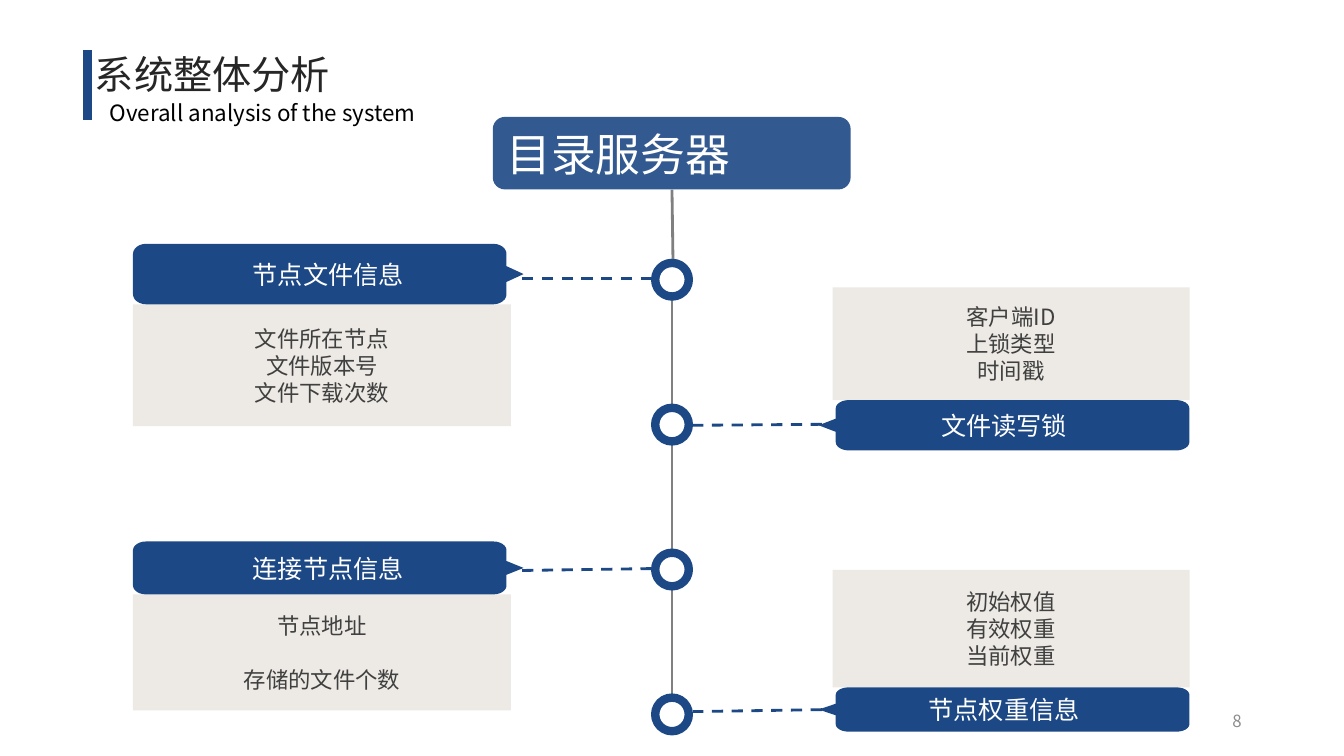
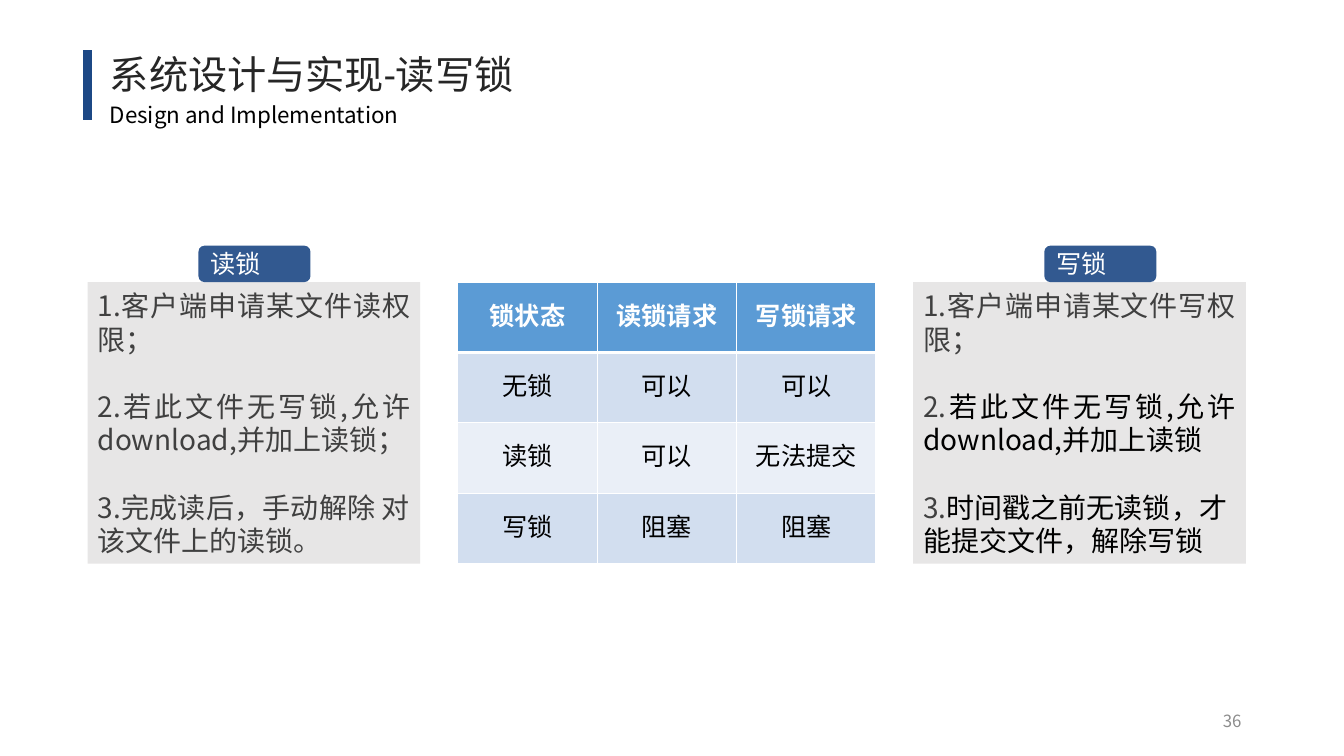
from math import cos, radians, sin

from lxml.etree import SubElement
from pptx import Presentation
from pptx.dml.color import RGBColor
from pptx.enum.dml import MSO_LINE
from pptx.enum.shapes import MSO_CONNECTOR, MSO_SHAPE
from pptx.enum.text import MSO_ANCHOR, MSO_AUTO_SIZE, PP_ALIGN
from pptx.oxml.ns import qn
from pptx.util import Pt

BLUE = RGBColor(0x1C, 0x48, 0x85)
GRAY = RGBColor(0x80, 0x80, 0x80)
PAGE_GRAY = RGBColor(0x8C, 0x8C, 0x8C)
TITLE_INK = RGBColor(0x26, 0x26, 0x26)
TEXT_INK = RGBColor(0x40, 0x40, 0x40)
BLACK = RGBColor(0, 0, 0)
WHITE = RGBColor(0xFF, 0xFF, 0xFF)
SAND = RGBColor(0xED, 0xEA, 0xE5)
SILVER = RGBColor(0xE7, 0xE6, 0xE6)
HEADER_BLUE = RGBColor(0x5B, 0x9B, 0xD5)
ROW_BLUE = RGBColor(0xD2, 0xDE, 0xEF)
ROW_PALE = RGBColor(0xEA, 0xEF, 0xF7)

NOTO = "Noto Sans CJK SC"
LEFT, CENTER, RIGHT, JUSTIFY = (
    PP_ALIGN.LEFT, PP_ALIGN.CENTER, PP_ALIGN.RIGHT, PP_ALIGN.JUSTIFY)

# Each style: font name, size, colour, alignment, bold
TITLE = ("Calibri", 28, TITLE_INK, LEFT, False)
SUBTITLE = (NOTO, 16, BLACK, LEFT, False)
PAGE_NUMBER = (NOTO, 12, PAGE_GRAY, RIGHT, False)
ROOT = (NOTO, 32, WHITE, JUSTIFY, False)
HEADING = (NOTO, 18, WHITE, CENTER, False)
DETAIL = (NOTO, 16, TEXT_INK, CENTER, False)
TAG = (NOTO, 18, WHITE, JUSTIFY, False)
RULES = (NOTO, 20, TEXT_INK, JUSTIFY, False)
TABLE_HEAD = (NOTO, 18, WHITE, CENTER, True)
TABLE_BODY = (NOTO, 18, BLACK, CENTER, False)


def write(holder, lines, style, fill=None, alpha=None, gap=0):
    """Fill a shape or cell and set its paragraphs; later parts of a line are black."""
    name, size, color, alignment, bold = style
    if fill is not None:
        holder.fill.solid()
        holder.fill.fore_color.rgb = fill
    if alpha:
        fill_color = holder.element.spPr.find(qn("a:solidFill"))[0]
        SubElement(fill_color, qn("a:alpha"), val=str(alpha * 1000))
    frame = holder.text_frame
    frame_format = {"word_wrap": True, "auto_size": MSO_AUTO_SIZE.NONE,
                    "vertical_anchor": MSO_ANCHOR.MIDDLE}
    for key, value in frame_format.items():
        setattr(frame, key, value)
    for index, line in enumerate(lines):
        paragraph = frame.add_paragraph() if index else frame.paragraphs[0]
        paragraph_format = {"alignment": alignment, "line_spacing": Pt(size * 1.2),
                            "space_before": Pt(gap if index else 0),
                            "space_after": Pt(0)}
        for key, value in paragraph_format.items():
            setattr(paragraph, key, value)
        properties = paragraph._p.get_or_add_pPr()
        properties.set("marL", "0")
        properties.set("indent", "0")
        SubElement(properties, qn("a:buNone"))
        parts = line if isinstance(line, tuple) else (line,)
        for part, part_color in zip(parts, (color, BLACK)):
            run = paragraph.add_run()
            run.text = part
            for key, value in {"name": name, "size": Pt(size), "bold": bold}.items():
                setattr(run.font, key, value)
            run.font.color.rgb = part_color
            run_properties = run._r.get_or_add_rPr()
            run_properties.set("lang", "zh-CN")
            SubElement(run_properties, qn("a:ea"), typeface=NOTO)


def add_line(slide, start, end, color, width, dash=None):
    """Draw a straight line between two points, without a shadow."""
    line = slide.shapes.add_connector(MSO_CONNECTOR.STRAIGHT, *map(Pt, start + end))
    line.line.color.rgb = color
    line.line.width = Pt(width)
    line.line.dash_style = dash
    SubElement(line.element.spPr, qn("a:effectLst"))


presentation = Presentation()
presentation.slide_width, presentation.slide_height = Pt(960), Pt(540)

# Shared frame: bar, title, subtitle, page number
# (layout index, title, title left, subtitle, subtitle top, page)
pages = [
    (5, "系统整体分析", 60.6, "Overall analysis of the system", 67, "8"),
    (3, "系统设计与实现-读写锁", 71.3, "Design and Implementation", 68.4, "36"),
]
slides = []
for layout, title, title_left, subtitle, subtitle_top, page in pages:
    slide = presentation.slides.add_slide(presentation.slide_layouts[layout])
    slides.append(slide)
    add_line(slide, (62.6, 36), (62.6, 85.7), BLUE, 6)
    title_shape = slide.shapes.title
    title_box = {"left": title_left, "top": 32.4, "width": 484, "height": 41}
    for key, value in title_box.items():
        setattr(title_shape, key, Pt(value))
    write(title_shape, [title], TITLE)
    subtitle_box = slide.shapes.add_textbox(
        Pt(71.3), Pt(subtitle_top), Pt(260), Pt(26.6))
    write(subtitle_box, [subtitle], SUBTITLE)
    page_box = slide.shapes.add_textbox(Pt(678), Pt(500.4), Pt(216), Pt(28.8))
    write(page_box, [page], PAGE_NUMBER)
overview, locks = slides

# Directory server tree
SPINE, RING = 480, 24
FIRST_NODE, NODE_STEP = 199.8, 103.5
CORNER, TAIL = 9.4, 12.2
# side: (outer edge, heading width, card left, card width, direction,
#        dash start, dash end)
sides = {
    "left": (95, 266.8, 95, 270, 1, 373, 468),
    "right": (849.6, 252.6, 594.7, 255, -1, 587, 495),
}
# (side, heading, details, detail gap, heading top, heading height,
#  card height, dash y at the heading, dash y at the node)
branches = [
    ("left", "节点文件信息", ["文件所在节点", "文件版本号", "文件下载次数"], 0,
     174.2, 43.2, 87, 198.7, 198.7),
    ("right", "文件读写锁", ["客户端ID", "上锁类型", "时间戳"], 0,
     285.8, 36, 80.6, 303.1, 303.8),
    ("left", "连接节点信息", ["节点地址", "存储的文件个数"], 19.2,
     386.8, 37.8, 82.8, 407.5, 406.1),
    ("right", "节点权重信息", ["初始权值", "有效权重", "当前权重"], 0,
     491, 31.7, 84, 506.9, 508.3),
]
add_line(overview, (SPINE, 188), (SPINE, 522.7), GRAY, 2)
for index, branch in enumerate(branches):
    side, heading, details, gap, top, height, card_height, dash_y, node_y = branch
    outer, width, card_left, card_width, direction, dash_start, dash_end = sides[side]

    card_top = top + height if side == "left" else top - card_height
    card = overview.shapes.add_shape(
        MSO_SHAPE.RECTANGLE, Pt(card_left), Pt(card_top),
        Pt(card_width), Pt(card_height))
    write(card, details, DETAIL, SAND, gap=gap)

    rise = height / 6
    outline = []
    for center_x, center_y, first_angle in [
            (CORNER, rise, 180), (width - CORNER, rise, 270),
            (width - CORNER, height - rise, 0), (CORNER, height - rise, 90)]:
        for angle in range(first_angle, first_angle + 91, 15):
            outline.append((center_x + CORNER * cos(radians(angle)),
                            center_y + rise * sin(radians(angle))))
        if first_angle == 270:
            outline += [(width, height * 0.37), (width + TAIL, height / 2),
                        (width, height * 0.63)]
    points = [(Pt(outer + direction * x), Pt(top + y)) for x, y in outline]
    builder = overview.shapes.build_freeform(*points[0])
    builder.add_line_segments(points[1:], close=True)
    write(builder.convert_to_shape(), [heading], HEADING, BLUE)

    node_top = FIRST_NODE + index * NODE_STEP - RING / 2
    node = overview.shapes.add_shape(
        MSO_SHAPE.OVAL, Pt(SPINE - RING / 2), Pt(node_top), Pt(RING), Pt(RING))
    write(node, [], DETAIL, WHITE)
    node.line.color.rgb = BLUE
    node.line.width = Pt(6)
    add_line(overview, (dash_start, dash_y), (dash_end, node_y), BLUE, 2,
             MSO_LINE.DASH)

root = overview.shapes.add_shape(
    MSO_SHAPE.ROUNDED_RECTANGLE, Pt(352), Pt(83.5), Pt(255.6), Pt(51.8))
write(root, ["目录服务器"], ROOT, BLUE, alpha=90)
add_line(overview, (SPINE, 135.4), (SPINE + 0.7, 185), GRAY, 2)

# Read and write locks
PANEL_TOP, PANEL_HEIGHT = 201.6, 201
lock_cards = [
    (62.6, 141.8, "读锁", [
        "1.客户端申请某文件读权限；",
        "2.若此文件无写锁,允许download,并加上读锁；",
        "3.完成读后，手动解除 对该文件上的读锁。"]),
    (652.3, 746, "写锁", [
        "1.客户端申请某文件写权限；",
        ("2.", "若此文件无写锁,允许download,并加上读锁"),
        ("3.", "时间戳之前无读锁，才能提交文件，解除写锁")]),
]
rule_cards = [shape for shape in locks.placeholders if shape != locks.shapes.title]
for rule_card, (left, tag_left, tag_text, rules) in zip(rule_cards, lock_cards):
    card_box = {"left": left, "top": PANEL_TOP, "width": 237.6, "height": PANEL_HEIGHT}
    for key, value in card_box.items():
        setattr(rule_card, key, Pt(value))
    write(rule_card, rules, RULES, SILVER, gap=24)
    tag = locks.shapes.add_shape(
        MSO_SHAPE.ROUNDED_RECTANGLE, Pt(tag_left), Pt(175.5), Pt(80), Pt(26))
    write(tag, [tag_text], TAG, BLUE, alpha=90)
rule_card.text_frame.paragraphs[-1].alignment = LEFT

lock_rows = [
    ("锁状态", "读锁请求", "写锁请求"),
    ("无锁", "可以", "可以"),
    ("读锁", "可以", "无法提交"),
    ("写锁", "阻塞", "阻塞"),
]
row_fills = [HEADER_BLUE, ROW_BLUE, ROW_PALE, ROW_BLUE]
lock_table = locks.shapes.add_table(
    4, 3, Pt(327), Pt(PANEL_TOP), Pt(298.8), Pt(PANEL_HEIGHT)).table
for row, (texts, row_fill) in enumerate(zip(lock_rows, row_fills)):
    for column, text in enumerate(texts):
        cell = lock_table.cell(row, column)
        cell.vertical_anchor = MSO_ANCHOR.MIDDLE
        border_widths = {"lnL": 1, "lnR": 1, "lnT": 3 if row == 1 else 1,
                         "lnB": 3 if row == 0 else 1}
        for edge, width in border_widths.items():
            border = SubElement(cell._tc.get_or_add_tcPr(), qn("a:" + edge),
                                w=str(Pt(width)))
            SubElement(SubElement(border, qn("a:solidFill")), qn("a:srgbClr"),
                       val=str(WHITE))
        write(cell, [text], TABLE_BODY if row else TABLE_HEAD, row_fill)

for slide in slides:
    for shape in slide.shapes:
        if shape.has_text_frame:
            shape.shadow.inherit = False
            if shape.text_frame.text:
                shape.line.fill.background()

presentation.save("out.pptx")
